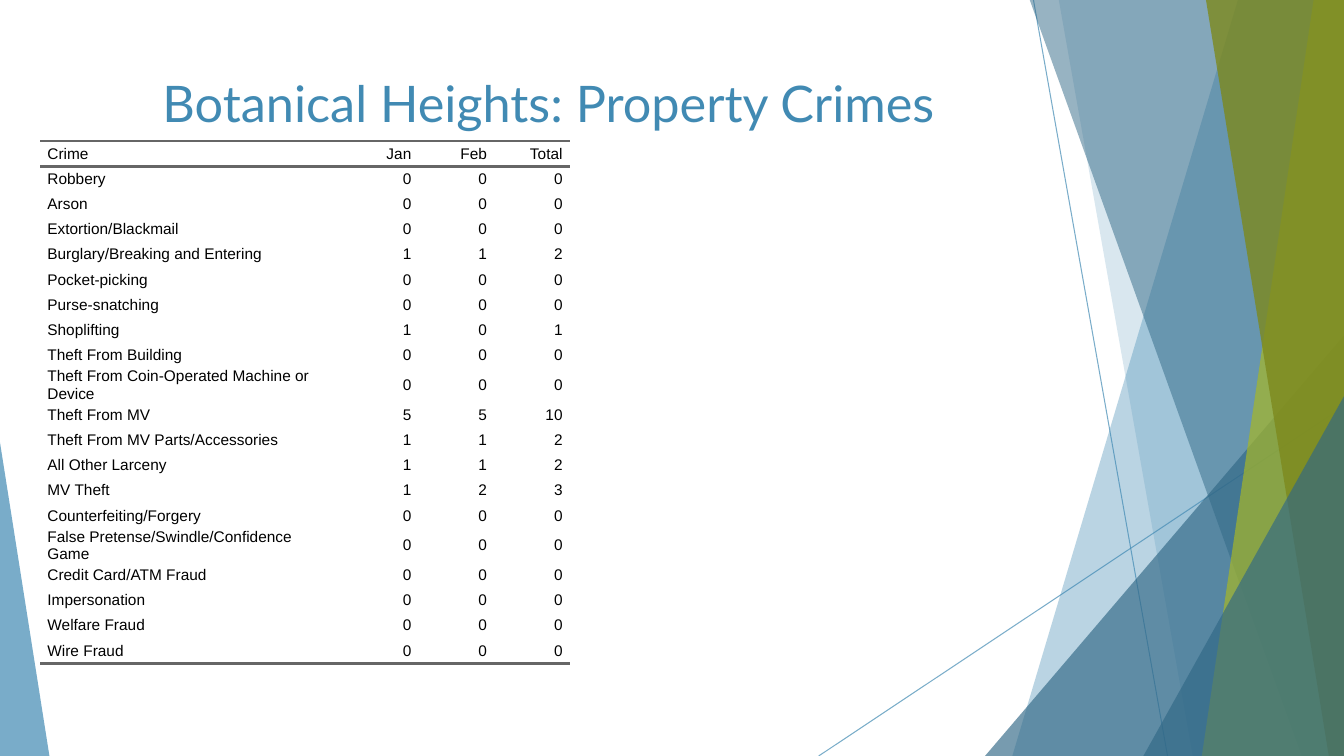
from dataclasses import dataclass

from lxml import etree
from pptx import Presentation
from pptx.dml.color import RGBColor
from pptx.dml.fill import FillFormat
from pptx.enum.shapes import MSO_CONNECTOR, MSO_SHAPE
from pptx.enum.text import MSO_ANCHOR, PP_ALIGN
from pptx.oxml.ns import qn
from pptx.shapes.autoshape import Shape
from pptx.slide import Slide
from pptx.table import Table, _Cell
from pptx.util import Inches, Pt

STRAIGHT = MSO_CONNECTOR.STRAIGHT
TRIANGLE = MSO_SHAPE.ISOSCELES_TRIANGLE
TOP, MIDDLE = MSO_ANCHOR.TOP, MSO_ANCHOR.MIDDLE
LEFT, CENTER, RIGHT = PP_ALIGN.LEFT, PP_ALIGN.CENTER, PP_ALIGN.RIGHT

BLUE = RGBColor(0x41, 0x8A, 0xB3)
DARK_BLUE = RGBColor(0x31, 0x68, 0x86)
LIME = RGBColor(0xA6, 0xB7, 0x27)
OLIVE = RGBColor(0x7D, 0x89, 0x1D)
RULE_GRAY = RGBColor(0x66, 0x66, 0x66)
BLACK = RGBColor(0, 0, 0)

SLIDE_WIDTH, SLIDE_HEIGHT = 13.33, 7.5
BAND_TOP = -0.01
CELL_INDENT = Inches(0.07)
PLAIN_TABLE_STYLE = "{2D5ABB26-0587-4C30-8999-92F81FD0307C}"


@dataclass(frozen=True)
class Ray:
    """A thin line running to the bottom edge of the slide."""
    start_x: float
    start_y: float
    end_x: float


@dataclass(frozen=True)
class Band:
    """A tinted area between a slanted left side and the right slide edge."""
    top_x: float
    bottom_x: float
    color: RGBColor
    opacity: int


@dataclass(frozen=True)
class Wedge:
    """A right triangle standing on the bottom edge of the slide."""
    left: float
    top: float
    width: float
    apex: float
    color: RGBColor
    opacity: int


@dataclass(frozen=True)
class Crime:
    """Monthly counts of one property crime."""
    name: str
    jan: int = 0
    feb: int = 0


RAYS = [Ray(10.25, 0, 11.58), Ray(SLIDE_WIDTH, 4.03, 8.12)]
FACETS = [
    Band(12.28, 10.04, BLUE, 36),
    Band(10.5, 11.83, BLUE, 20),
    Wedge(9.77, 3.33, 3.56, 1, DARK_BLUE, 66),
    Band(10.21, 12.91, DARK_BLUE, 50),
    Band(13.03, 11.92, LIME, 70),
    Band(11.96, 13.18, OLIVE, 80),
    Wedge(11.34, 3.93, 1.99, 1, DARK_BLUE, 66),
    Wedge(0, 4.39, 0.49, 0, BLUE, 70),
]
CRIMES = [
    Crime("Robbery"),
    Crime("Arson"),
    Crime("Extortion/Blackmail"),
    Crime("Burglary/Breaking and Entering", 1, 1),
    Crime("Pocket-picking"),
    Crime("Purse-snatching"),
    Crime("Shoplifting", 1, 0),
    Crime("Theft From Building"),
    Crime("Theft From Coin-Operated Machine or Device"),
    Crime("Theft From MV", 5, 5),
    Crime("Theft From MV Parts/Accessories", 1, 1),
    Crime("All Other Larceny", 1, 1),
    Crime("MV Theft", 1, 2),
    Crime("Counterfeiting/Forgery"),
    Crime("False Pretense/Swindle/Confidence Game"),
    Crime("Credit Card/ATM Fraud"),
    Crime("Impersonation"),
    Crime("Welfare Fraud"),
    Crime("Wire Fraud"),
]
COLUMN_WIDTHS = [3, 0.75, 0.75, 0.75]
ROW_HEIGHT = 0.25


def tint(fill: FillFormat, color: RGBColor, opacity: int) -> None:
    """Apply a solid colour with an opacity in percent."""
    fill.solid()
    fill.fore_color.rgb = color
    color_node = fill._xPr.find(qn("a:solidFill"))[0]
    etree.SubElement(color_node, qn("a:alpha"), val=str(opacity * 1000))


def draw_ray(slide: Slide, ray: Ray) -> None:
    """Draw one thin translucent line."""
    line = slide.shapes.add_connector(
        STRAIGHT, Inches(ray.start_x), Inches(ray.start_y),
        Inches(ray.end_x), Inches(SLIDE_HEIGHT))
    line.line.width = Pt(0.75)
    tint(line.line.fill, BLUE, 70)
    etree.SubElement(line._element.spPr, qn("a:effectLst"))


def add_band(slide: Slide, band: Band) -> Shape:
    """Outline one band and return its shape."""
    builder = slide.shapes.build_freeform(
        Inches(band.top_x), Inches(BAND_TOP), scale=1.0)
    corners = [(SLIDE_WIDTH, BAND_TOP), (SLIDE_WIDTH, SLIDE_HEIGHT),
               (band.bottom_x, SLIDE_HEIGHT)]
    builder.add_line_segments([(Inches(x), Inches(y)) for x, y in corners])
    return builder.convert_to_shape()


def add_wedge(slide: Slide, wedge: Wedge) -> Shape:
    """Add one triangle and return its shape."""
    triangle = slide.shapes.add_shape(
        TRIANGLE, Inches(wedge.left), Inches(wedge.top),
        Inches(wedge.width), Inches(SLIDE_HEIGHT - wedge.top))
    triangle.adjustments[0] = wedge.apex
    return triangle


def draw_facet(slide: Slide, facet: Band | Wedge) -> None:
    """Draw one translucent facet of the background."""
    add_facet = add_band if isinstance(facet, Band) else add_wedge
    shape = add_facet(slide, facet)
    shape.shadow.inherit = False
    shape.line.fill.background()
    tint(shape.fill, facet.color, facet.opacity)


def rule_cell(cell: _Cell, edge: str) -> None:
    """Draw a gray rule on an edge, named by its tag such as a:lnB."""
    properties = cell._tc.get_or_add_tcPr()
    rule = etree.SubElement(properties, qn(edge), w=str(Pt(2)))
    fill = etree.SubElement(rule, qn("a:solidFill"))
    etree.SubElement(fill, qn("a:srgbClr"), val=str(RULE_GRAY))


def write_cell(cell: _Cell, text: str, alignment: PP_ALIGN) -> None:
    """Write one unfilled table cell."""
    cell.fill.background()
    cell.vertical_anchor = MIDDLE
    cell.margin_left = cell.margin_right = 0
    cell.margin_top = cell.margin_bottom = 0
    cell.text_frame.text = text
    paragraph = cell.text_frame.paragraphs[0]
    paragraph.alignment = alignment
    paragraph.space_before = paragraph.space_after = Pt(5)
    for side in ("marL", "marR"):
        paragraph._p.get_or_add_pPr().set(side, str(CELL_INDENT))
    font = paragraph.runs[0].font
    font.name, font.size, font.color.rgb = "Arial", Pt(11), BLACK


def fill_crime_table(table: Table, rows: list[tuple]) -> None:
    """Size, rule and fill the crime table."""
    table.first_row = table.horz_banding = False
    table._tbl.tblPr.find(qn("a:tableStyleId")).text = PLAIN_TABLE_STYLE
    for column, width in zip(table.columns, COLUMN_WIDTHS):
        column.width = Inches(width)
    for r, values in enumerate(rows):
        table.rows[r].height = Inches(ROW_HEIGHT)
        for c, value in enumerate(values):
            cell = table.cell(r, c)
            if r == 0:
                rule_cell(cell, "a:lnT")
            if r in (0, len(rows) - 1):
                rule_cell(cell, "a:lnB")
            write_cell(cell, str(value), RIGHT if c else LEFT)


def add_title(slide: Slide, text: str) -> None:
    """Add the centred slide title."""
    title = slide.shapes.add_textbox(
        Inches(0.74), Inches(0.67), Inches(9.4), Inches(1.44)).text_frame
    title.word_wrap, title.vertical_anchor = True, TOP
    title.text = text
    title.paragraphs[0].alignment = CENTER
    font = title.paragraphs[0].runs[0].font
    font.name, font.size, font.color.rgb = "Lato", Pt(36), BLUE


deck = Presentation()
deck.slide_width, deck.slide_height = Inches(SLIDE_WIDTH), Inches(SLIDE_HEIGHT)
crime_slide = deck.slides.add_slide(deck.slide_layouts[6])
for ray in RAYS:
    draw_ray(crime_slide, ray)
for facet in FACETS:
    draw_facet(crime_slide, facet)
crime_rows = [("Crime", "Jan", "Feb", "Total")]
crime_rows += [(c.name, c.jan, c.feb, c.jan + c.feb) for c in CRIMES]
crime_frame = crime_slide.shapes.add_table(
    len(crime_rows), len(COLUMN_WIDTHS), Inches(0.4), Inches(1.4),
    Inches(sum(COLUMN_WIDTHS)), Inches(ROW_HEIGHT * len(crime_rows)))
fill_crime_table(crime_frame.table, crime_rows)
add_title(crime_slide, "Botanical Heights: Property Crimes")
deck.save("out.pptx")
